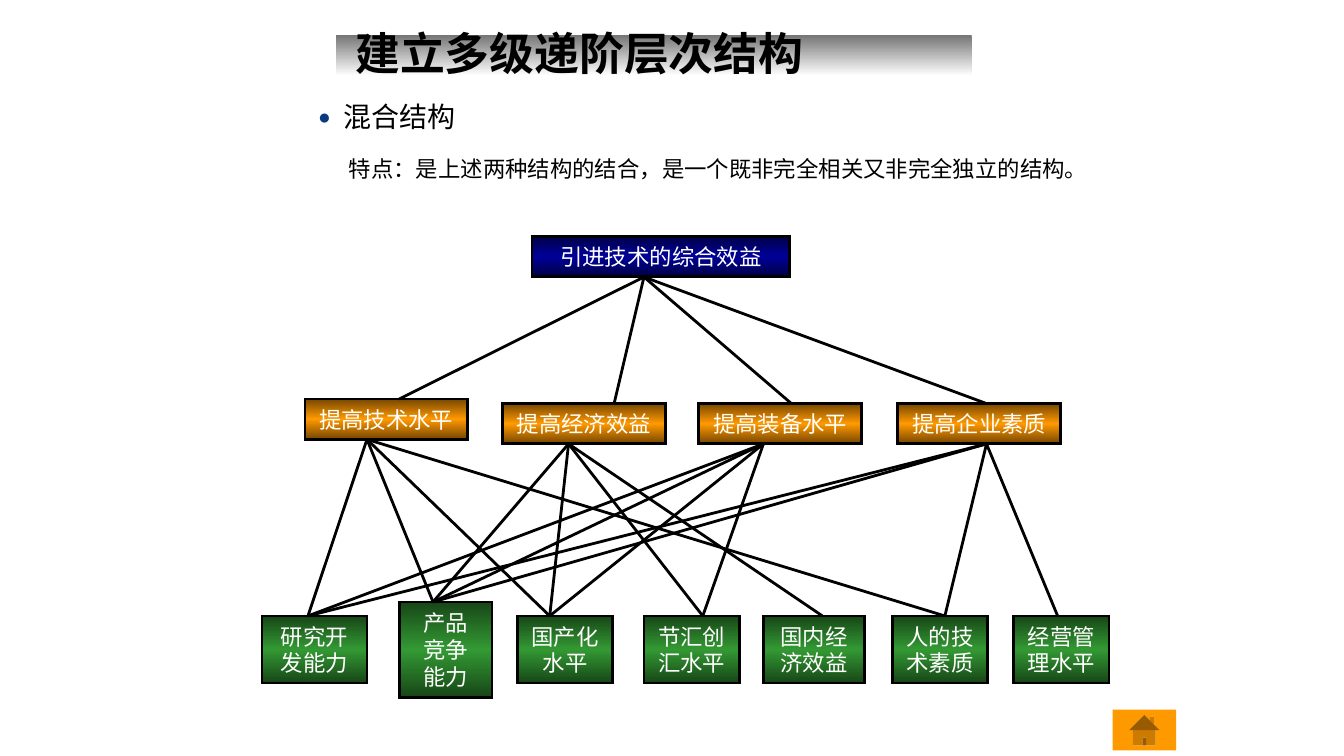
from lxml.etree import SubElement
from pptx import Presentation
from pptx.dml.color import RGBColor
from pptx.enum.shapes import MSO_CONNECTOR, MSO_SHAPE
from pptx.enum.text import MSO_ANCHOR, MSO_AUTO_SIZE, PP_ALIGN
from pptx.oxml.ns import qn
from pptx.util import Pt

BLACK = RGBColor(0x00, 0x00, 0x00)
WHITE = RGBColor(0xFF, 0xFF, 0xFF)
BLUE = RGBColor(0x00, 0x00, 0x99)
ORANGE = RGBColor(0xFF, 0x99, 0x00)
GREEN = RGBColor(0x33, 0x99, 0x33)
BULLET_BLUE = RGBColor(0x09, 0x3A, 0x80)

FONT = "Arial"
DARK_EDGE = 46275   # shade of the dark gradient ends
JOIN_REACH = 2      # a line this near a box's middle is joined to it

BOX_HEIGHT = 21.6
GOAL = ("引进技术的综合效益", 285, 126.6, 138.2)
GOAL_LINE_X, GOAL_LINE_Y = 345, 148.4
INDICATOR_TOP, INDICATOR_HEIGHT = 330, 36

# Criterion: left, top, x where the goal's line ends, x where its lines start
CRITERIA = {
    "提高技术水平": (163.4, 213.8, 213.8, 196.6),
    "提高经济效益": (269.3, 216.2, 329, 304.6),
    "提高装备水平": (374.4, 216.2, 424, 409),
    "提高企业素质": (481, 216.2, 528.5, 528.5),
}
CRITERION_WIDTH = 87.1

# Indicator: left, width, x where its lines end
INDICATORS = {
    "研究开发能力": (140.4, 56.2, 165),
    "产品竞争能力": (214, 49.6, 232),
    "国产化水平": (277.2, 51.2, 294.5),
    "节汇创汇水平": (345, 51.2, 376.5),
    "国内经济效益": (409, 54, 440.6),
    "人的技术素质": (478, 51, 506.2),
    "经营管理水平": (543, 51.2, 566.6),
}

# Criterion to indicators, by position
LINKS = [(0, 1, 2, 5), (1, 2, 3, 4), (0, 1, 2, 3), (0, 1, 5, 6)]


def fill_gradient(shape, stops):
    """Vertical gradient from (position, colour, shaded) stops."""
    shape.fill.gradient()
    shape.fill.gradient_angle = 270
    stop_list = shape._element.spPr.find(qn("a:gradFill")).find(qn("a:gsLst"))
    for old in list(stop_list):
        stop_list.remove(old)
    for position, color, shaded in stops:
        stop = SubElement(stop_list, qn("a:gs"), pos=str(position * 1000))
        tone = SubElement(stop, qn("a:srgbClr"), val=str(color))
        if shaded:
            SubElement(tone, qn("a:gamma"))
            SubElement(tone, qn("a:shade"), val=str(DARK_EDGE))
            SubElement(tone, qn("a:invGamma"))


def add_plain_shape(slide, kind, left, top, width, height):
    shape = slide.shapes.add_shape(kind, Pt(left), Pt(top), Pt(width), Pt(height))
    shape.shadow.inherit = False
    shape.line.fill.background()
    return shape


def set_text(paragraph, text, size, color=BLACK, bold=False):
    paragraph.text = text
    font = paragraph.font
    font.name, font.size, font.bold = FONT, Pt(size), bold
    font.color.rgb = color


def add_text(slide, text, left, top, width, height, size, bold=False, wrap=True):
    box = slide.shapes.add_textbox(Pt(left), Pt(top), Pt(width), Pt(height))
    frame = box.text_frame
    frame.word_wrap = wrap
    set_text(frame.paragraphs[0], text, size, bold=bold)
    return frame


def set_insets(frame):
    frame.margin_left = frame.margin_right = Pt(5)
    frame.margin_top = frame.margin_bottom = Pt(2.9)


def add_bullet(paragraph):
    properties = paragraph._p.get_or_add_pPr()
    properties.set("marL", str(Pt(13.7)))
    properties.set("indent", str(-Pt(13.7)))
    color = SubElement(properties, qn("a:buClr"))
    SubElement(color, qn("a:srgbClr"), val=str(BULLET_BLUE))
    SubElement(properties, qn("a:buSzPct"), val="75000")
    SubElement(properties, qn("a:buFont"), typeface=FONT)
    SubElement(properties, qn("a:buChar"), char="●")


def add_node(slide, text, left, top, width, height, color, wrap=True):
    node = add_plain_shape(slide, MSO_SHAPE.RECTANGLE, left, top, width, height)
    fill_gradient(node, [(0, color, True), (50, color, False), (100, color, True)])
    node.line.color.rgb = BLACK
    node.line.width = Pt(1.5)
    SubElement(node._element.spPr.find(qn("a:ln")), qn("a:miter"), lim="800000")
    frame = node.text_frame
    frame.word_wrap = wrap
    frame.auto_size = MSO_AUTO_SIZE.SHAPE_TO_FIT_TEXT
    frame.vertical_anchor = MSO_ANCHOR.MIDDLE
    set_text(frame.paragraphs[0], text, 12, WHITE)
    frame.paragraphs[0].alignment = PP_ALIGN.CENTER
    return node


def add_link(slide, start_x, start_y, end_x, target):
    """Line that stops on the top edge of the target box, clear of its text."""
    link = slide.shapes.add_connector(
        MSO_CONNECTOR.STRAIGHT, Pt(start_x), Pt(start_y), Pt(end_x), target.top)
    link.line.color.rgb = BLACK
    link.line.width = Pt(1.5)
    SubElement(link._element.spPr, qn("a:effectLst"))
    if abs(target.left + target.width / 2 - Pt(end_x)) < Pt(JOIN_REACH):
        link.end_connect(target, 0)


def add_heading(slide):
    band = add_plain_shape(slide, MSO_SHAPE.RECTANGLE, 180, 19, 340.6, 21.6)
    fill_gradient(band, [(0, WHITE, True), (100, WHITE, False)])

    title = add_text(slide, "建立多级递阶层次结构", 185.4, 16.2, 283.7, 35.3, 24, bold=True)
    set_insets(title)
    title.paragraphs[0].line_spacing = 0.8

    topic = add_text(slide, "", 165.4, 51.8, 102.2, 31.7, 15)
    set_insets(topic)
    add_bullet(topic.paragraphs[0])
    set_text(topic.paragraphs[0], "混合结构", 15)
    topic.paragraphs[0].line_spacing = 0.95

    add_text(slide, "特点：是上述两种结构的结合，是一个既非完全相关又非完全独立的结构。",
             179.8, 79.5, 414.7, 21.6, 12, wrap=False)


def add_hierarchy(slide):
    # Goal and criteria
    text, left, top, width = GOAL
    add_node(slide, text, left, top, width, BOX_HEIGHT, BLUE)
    criteria = [
        add_node(slide, text, left, top, CRITERION_WIDTH, BOX_HEIGHT, ORANGE, wrap=False)
        for text, (left, top, _, _) in CRITERIA.items()]

    # Indicators; the narrow one needs three lines of text
    indicators = []
    for text, (left, width, _) in INDICATORS.items():
        extra = 15 if text == "产品竞争能力" else 0
        indicators.append(add_node(
            slide, text, left, INDICATOR_TOP - extra / 2, width,
            INDICATOR_HEIGHT + extra, GREEN))

    # Lines between the levels
    for node, (_, _, end_x, _) in zip(criteria, CRITERIA.values()):
        add_link(slide, GOAL_LINE_X, GOAL_LINE_Y, end_x, node)
    ends = [end_x for _, _, end_x in INDICATORS.values()]
    for (_, top, _, start_x), targets in zip(CRITERIA.values(), LINKS):
        for target in targets:
            add_link(slide, start_x, top + BOX_HEIGHT, ends[target], indicators[target])


def main():
    presentation = Presentation()
    presentation.slide_width, presentation.slide_height = Pt(720), Pt(405)
    slide = presentation.slides.add_slide(presentation.slide_layouts[6])
    add_heading(slide)
    add_hierarchy(slide)

    # Home button
    home = add_plain_shape(slide, MSO_SHAPE.ACTION_BUTTON_HOME, 596, 380.2, 34, 21.8)
    home.fill.solid()
    home.fill.fore_color.rgb = ORANGE

    presentation.save("out.pptx")


if __name__ == "__main__":
    main()
